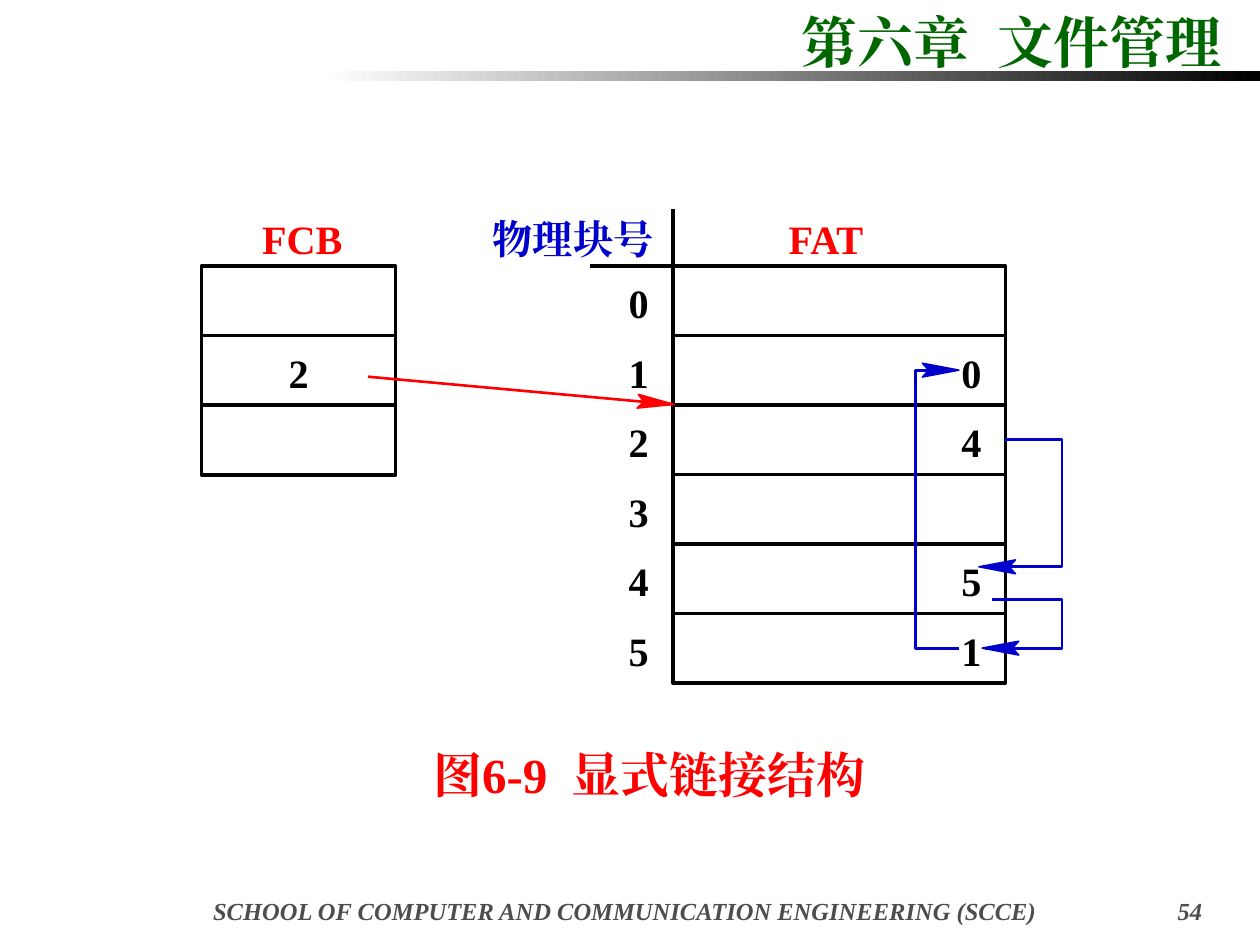
import math

from lxml import etree
from pptx import Presentation
from pptx import util as u
from pptx.dml import color as dml
from pptx.enum import shapes, text
from pptx.oxml import ns

# The slide is a grid of 100 columns by 75 rows; boxes are (left, top, width, height).
CELL = u.Inches(0.1)
COLUMNS, ROWS = 100, 75
FONT = "Times New Roman"
BLACK, WHITE, RED, BLUE = "000000", "FFFFFF", "FF0000", "0000CC"
GREEN, GREY = "006600", "4D4D4D"


def cells(*values):
    return [u.Emu(round(value * CELL)) for value in values]


def rgb(value):
    return dml.RGBColor.from_string(value)


def write(frame, words, size=23, colour=BLACK, italic=False, align="LEFT",
          inset=(0, 0), wrap=False):
    frame.word_wrap = wrap
    frame.auto_size = text.MSO_AUTO_SIZE.NONE
    frame.vertical_anchor = text.MSO_ANCHOR.TOP
    frame.margin_left = frame.margin_right = cells(inset[0])[0]
    frame.margin_top = frame.margin_bottom = cells(inset[1])[0]
    paragraph = frame.paragraphs[0]
    paragraph.alignment = getattr(text.PP_ALIGN, align)
    run = paragraph.add_run()
    run.text = words
    font = run.font
    font.name, font.size, font.bold, font.italic = FONT, u.Pt(size), True, italic
    font.color.rgb = rgb(colour)
    etree.SubElement(font._element, ns.qn("a:ea"), typeface=FONT)


def label(slide, box, words, **format):
    write(slide.shapes.add_textbox(*cells(*box)).text_frame, words, **format)


def line(slide, start, end, colour=BLACK, weight=2):
    connector = slide.shapes.add_connector(
        shapes.MSO_CONNECTOR.STRAIGHT, *cells(*start, *end))
    connector.line.color.rgb = rgb(colour)
    connector.line.width = u.Pt(weight)
    etree.SubElement(connector._element.spPr, ns.qn("a:effectLst"))


def outline(slide, points, colour, weight, closed=False):
    start, *rest = [cells(*point) for point in points]
    builder = slide.shapes.build_freeform(*start)
    builder.add_line_segments(rest, close=closed)
    shape = builder.convert_to_shape()
    shape.shadow.inherit = False
    if closed:
        shape.fill.solid()
        shape.fill.fore_color.rgb = rgb(colour)
    else:
        shape.fill.background()
    shape.line.color.rgb = rgb(colour)
    shape.line.width = u.Pt(weight)


def arrowhead(slide, tip, angle, colour, weight=0.88):
    """Notched head with its point at tip, turned clockwise from rightward."""
    cos, sin = math.cos(math.radians(angle)), math.sin(math.radians(angle))
    profile = [(-2.9, -0.55), (-2.4, 0), (-2.9, 0.55), (0, 0)]
    points = [(tip[0] + x * cos - y * sin, tip[1] + x * sin + y * cos)
              for x, y in profile]
    outline(slide, points, colour, weight, closed=True)


def header(slide, box):
    left, top, width, height = box
    title = slide.shapes.title
    title.left, title.top, title.width, title.height = cells(
        left + 36.8, top, 36, 6.4)
    write(title.text_frame, "第六章  文件管理", size=32, colour=GREEN,
          inset=(1, 0.5), wrap=True)
    bar = slide.shapes.add_shape(
        shapes.MSO_SHAPE.RECTANGLE,
        *cells(left, top + height - 0.8, width, 0.8))
    bar.shadow.inherit = False
    bar.line.fill.background()
    bar.fill.gradient()
    bar.fill.gradient_angle = 180
    for stop, position, colour in zip(bar.fill.gradient_stops, (0, 1), (BLACK, WHITE)):
        stop.position = position
        stop.color.rgb = rgb(colour)


def block_column(slide, box, heading, heading_left, entries, entry_left, filled=False):
    """Stacked cells under a heading, with an entry in some of them."""
    left, top, width, height = box
    row = height / len(entries)
    for index, entry in enumerate(entries):
        y = top + index * row
        block = slide.shapes.add_shape(
            shapes.MSO_SHAPE.RECTANGLE, *cells(left, y, width, row))
        block.shadow.inherit = False
        if filled:
            block.fill.solid()
            block.fill.fore_color.rgb = rgb(WHITE)
        else:
            block.fill.background()
        block.line.color.rgb = rgb(BLACK)
        block.line.width = u.Pt(2)
        if entry:
            label(slide, (left + entry_left, y + 1, 1.6, 3.8), entry)
    label(slide, (left + heading_left, top - 4.1, 6.4, 3.8), heading, colour=RED)


def block_numbers(slide, box, count):
    left, top, width, height = box
    right, row = left + width, height / count
    line(slide, (right, top - 4.5), (right, top))
    line(slide, (right, top), (right - 6.6, top))
    label(slide, (left, top - 4.1, 12.8, 3.8), "物理块号", colour=BLUE)
    for number in range(count):
        label(slide, (right - 3.5, top + number * row + 1, 1.6, 3.8), str(number))


def fat_links(slide, box, count):
    """Chain between entries: x as shares of the table, y in table rows."""
    left, top, width, height = box

    def place(x, y):
        return left + x * width, top + y * height / count

    links = [
        ([(1, 2.5), (1.17, 2.5), (1.17, 4.33), (0.96, 4.33)], (0.92, 4.33), 180),
        ([(0.96, 4.8), (1.17, 4.8), (1.17, 5.5), (0.94, 5.5)], (0.93, 5.5), 180),
        ([(0.86, 5.5), (0.73, 5.5), (0.73, 1.5), (0.83, 1.5)], (0.86, 1.5), 0),
    ]
    for route, tip, angle in links:
        outline(slide, [place(*point) for point in route], BLUE, 1.64)
        arrowhead(slide, place(*tip), angle, BLUE)


def footer(slide, box):
    left, top, width, height = box
    style = dict(size=14, colour=GREY, italic=True, inset=(1, 0.5), wrap=True)
    label(slide, (left, top, width - 9.4, height),
          "SCHOOL OF COMPUTER AND COMMUNICATION ENGINEERING (SCCE)",
          align="CENTER", **style)
    label(slide, (left + width - 9.4, top, 9.4, height), "54", align="RIGHT", **style)


def main():
    deck = Presentation()
    deck.slide_width, deck.slide_height = cells(COLUMNS, ROWS)
    slide = deck.slides.add_slide(deck.slide_layouts[5])

    fcb = (16, 21.1, 15.4, 16.6)
    fat = (53.4, 21.1, 26.4, 33.1)
    fat_entries = ["", "0", "4", "", "5", "1"]

    header(slide, (25.8, 0.1, 74.2, 6.3))
    block_column(slide, fat, "FAT", 9.2, fat_entries, 22.9)
    block_numbers(slide, (39.1, 21.1, 14.3, 33.1), len(fat_entries))
    block_column(slide, fcb, "FCB", 4.8, ["", "2", ""], 6.9, filled=True)
    line(slide, (29.2, 29.9), (53.4, 32.1), RED, 1.5)
    arrowhead(slide, (53.5, 32.1), 5, RED)
    fat_links(slide, fat, len(fat_entries))
    label(slide, (33.4, 58.6, 38.9, 5.7), "图6-9  显式链接结构",
          size=28, colour=RED, inset=(1, 0.5))
    footer(slide, (12.2, 70.6, 84.2, 2.6))
    deck.save("out.pptx")


if __name__ == "__main__":
    main()
